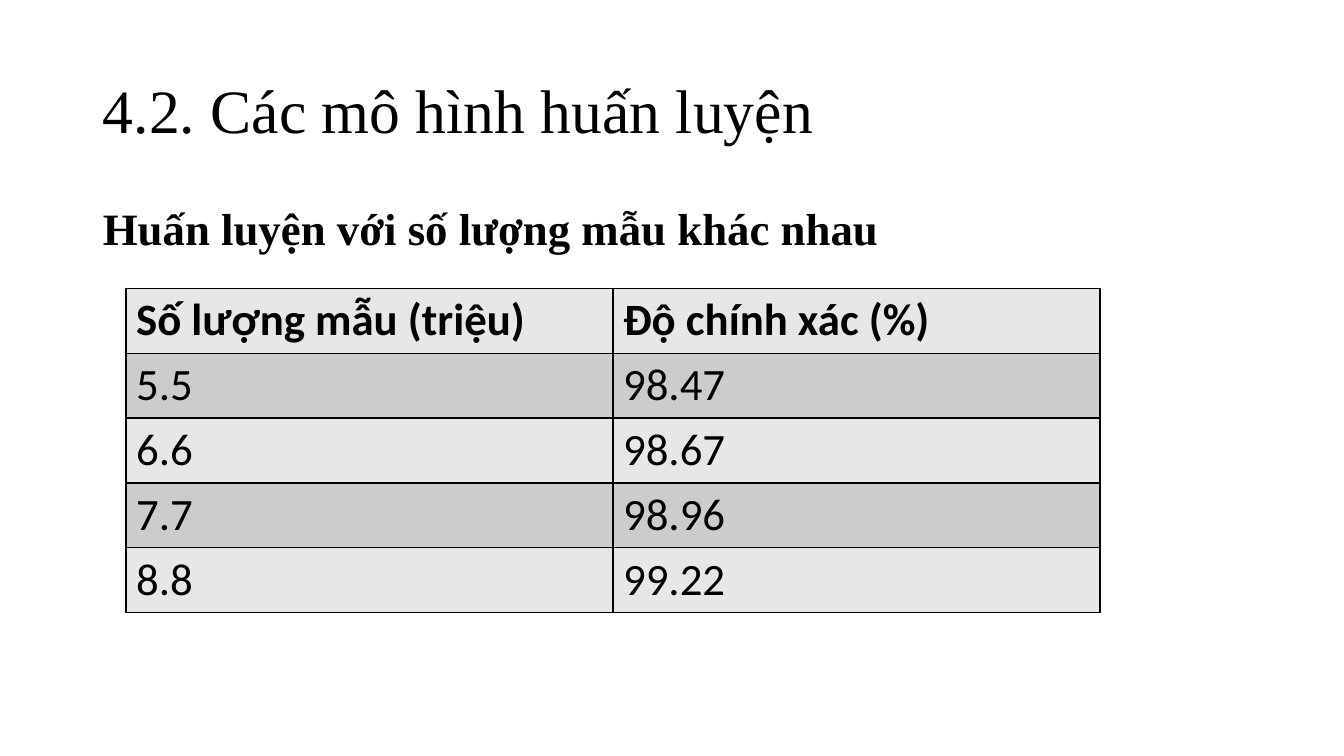
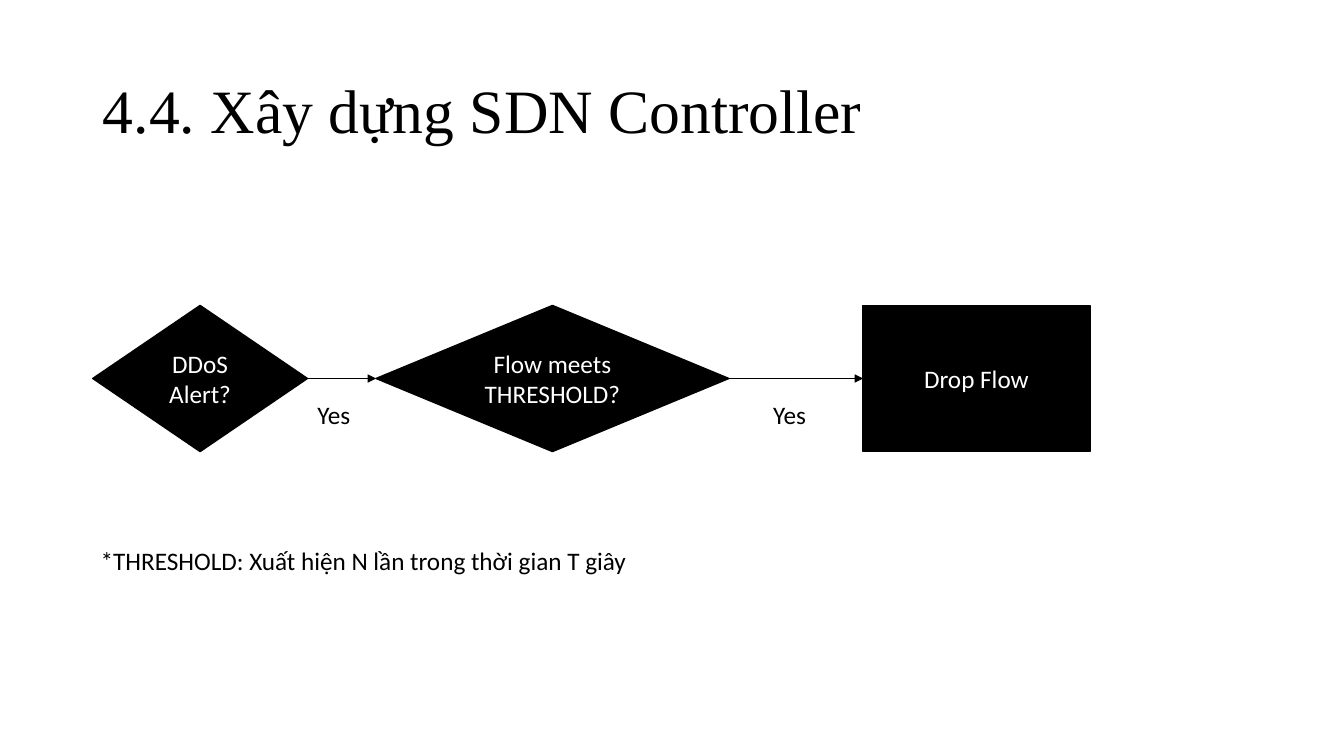
from pptx import Presentation
from pptx.dml.color import RGBColor
from pptx.enum.shapes import MSO_CONNECTOR, MSO_SHAPE
from pptx.enum.text import MSO_ANCHOR, MSO_AUTO_SIZE, PP_ALIGN
from pptx.oxml.ns import qn
from pptx.util import Inches, Pt
from lxml import etree

STRAIGHT = MSO_CONNECTOR.STRAIGHT
DIAMOND, RECTANGLE = MSO_SHAPE.DIAMOND, MSO_SHAPE.RECTANGLE
MIDDLE, TOP = MSO_ANCHOR.MIDDLE, MSO_ANCHOR.TOP
LEFT, CENTER = PP_ALIGN.LEFT, PP_ALIGN.CENTER
NO_FIT = MSO_AUTO_SIZE.NONE

# Shared style
BLACK, WHITE = "000000", "FFFFFF"
ROW_FILLS = ("E7E7E7", "CCCCCC")
HEADING_FONT, TEXT_FONT = "Times New Roman", "Calibri"
TITLE_BOX = (0.92, 0.4, 11.5, 1.45)
BODY_BOX = (0.92, 2, 11.5, 4.76)
TITLE_ONLY, TITLE_AND_BODY = 5, 1
LEFT_SITE, RIGHT_SITE = 1, 3


def color(value):
    return RGBColor.from_string(value)


def place(shape, box):
    shape.left, shape.top, shape.width, shape.height = map(Inches, box)


def write(frame, text, size, font=TEXT_FONT, fill=BLACK, bold=False, align=LEFT):
    frame.text = text
    para = frame.paragraphs[0]
    para.alignment = align
    for span in para.runs:
        span.font.size = Pt(size)
        span.font.name = font
        span.font.bold = bold
        span.font.color.rgb = color(fill)
    return para


def fill_placeholder(holder, box, text, size, anchor, bold=False):
    place(holder, box)
    frame = holder.text_frame
    frame.word_wrap = True
    frame.auto_size = NO_FIT
    frame.vertical_anchor = anchor
    para = write(frame, text, size, HEADING_FONT, bold=bold)
    properties = para._p.get_or_add_pPr()
    properties.set("marL", "0")
    properties.set("indent", "0")
    etree.SubElement(properties, qn("a:buNone"))
    para.line_spacing = 0.9
    para.space_before = Pt(0)


def add_page(deck, layout, title):
    page = deck.slides.add_slide(deck.slide_layouts[layout])
    fill_placeholder(page.shapes.title, TITLE_BOX, title, 44, MIDDLE)
    return page


def add_label(page, box, text):
    label = page.shapes.add_textbox(*map(Inches, box))
    label.text_frame.word_wrap = True
    write(label.text_frame, text, 18)


def add_borders(cell):
    properties = cell._tc.get_or_add_tcPr()
    for side in ("lnL", "lnR", "lnT", "lnB"):
        border = etree.SubElement(properties, qn("a:" + side), w=str(Pt(1)))
        solid = etree.SubElement(border, qn("a:solidFill"))
        etree.SubElement(solid, qn("a:srgbClr"), val=BLACK)


def add_results_table(page, box, rows):
    table = page.shapes.add_table(len(rows), len(rows[0]), *map(Inches, box)).table
    for row_index, row in enumerate(rows):
        for column_index, text in enumerate(row):
            cell = table.cell(row_index, column_index)
            write(cell.text_frame, text, 32, bold=row_index == 0)
            add_borders(cell)
            cell.fill.solid()
            cell.fill.fore_color.rgb = color(ROW_FILLS[row_index % 2])


def add_step(page, kind, box, text):
    step = page.shapes.add_shape(kind, *map(Inches, box))
    step.shadow.inherit = False
    step.fill.solid()
    step.fill.fore_color.rgb = color(BLACK)
    step.line.color.rgb = color(BLACK)
    step.line.width = Pt(1)
    step.text_frame.word_wrap = True
    step.text_frame.vertical_anchor = MIDDLE
    write(step.text_frame, text, 18, fill=WHITE, align=CENTER)
    return step


def add_arrow(page, source, target):
    arrow = page.shapes.add_connector(STRAIGHT, 0, 0, 0, 0)
    arrow.begin_connect(source, RIGHT_SITE)
    arrow.end_connect(target, LEFT_SITE)
    arrow.line.color.rgb = color(BLACK)
    arrow.line.width = Pt(0.5)
    etree.SubElement(arrow.line._get_or_add_ln(), qn("a:tailEnd"), type="triangle")
    etree.SubElement(arrow._element.spPr, qn("a:effectLst"))


def add_flow(page, box):
    left, top, _, height = box
    # Kind, offset from the left edge, width, text
    plan = (
        (DIAMOND, 0, 2.13, "DDoS Alert?"),
        (DIAMOND, 2.81, 3.5, "Flow meets THRESHOLD?"),
        (RECTANGLE, 7.64, 2.25, "Drop Flow"),
    )
    steps = [add_step(page, kind, (left + offset, top, width, height), text)
             for kind, offset, width, text in plan]
    for source, target in zip(steps, steps[1:]):
        add_arrow(page, source, target)
    for offset in (2.13, 6.65):
        add_label(page, (left + offset, top + 0.88, 0.99, 0.4), "Yes")


def build_training_page(deck):
    page = add_page(deck, TITLE_AND_BODY, "4.2. Các mô hình huấn luyện")
    fill_placeholder(page.placeholders[1], BODY_BOX,
                     "Huấn luyện với số lượng mẫu khác nhau", 32, TOP, bold=True)
    add_results_table(page, (1.25, 2.86, 9.66, 2.9), (
        ("Số lượng mẫu (triệu)", "Độ chính xác (%)"),
        ("5.5", "98.47"),
        ("6.6", "98.67"),
        ("7.7", "98.96"),
        ("8.8", "99.22"),
    ))


def build_controller_page(deck):
    page = add_page(deck, TITLE_ONLY, "4.4. Xây dựng SDN Controller")
    add_flow(page, (0.92, 3.03, 9.89, 1.45))
    add_label(page, (0.9, 5.36, 5.58, 0.4),
              "*THRESHOLD: Xuất hiện N lần trong thời gian T giây")


def main():
    deck = Presentation()
    deck.slide_width, deck.slide_height = Inches(13.33), Inches(7.5)
    build_training_page(deck)
    build_controller_page(deck)
    deck.save("out.pptx")


if __name__ == "__main__":
    main()
